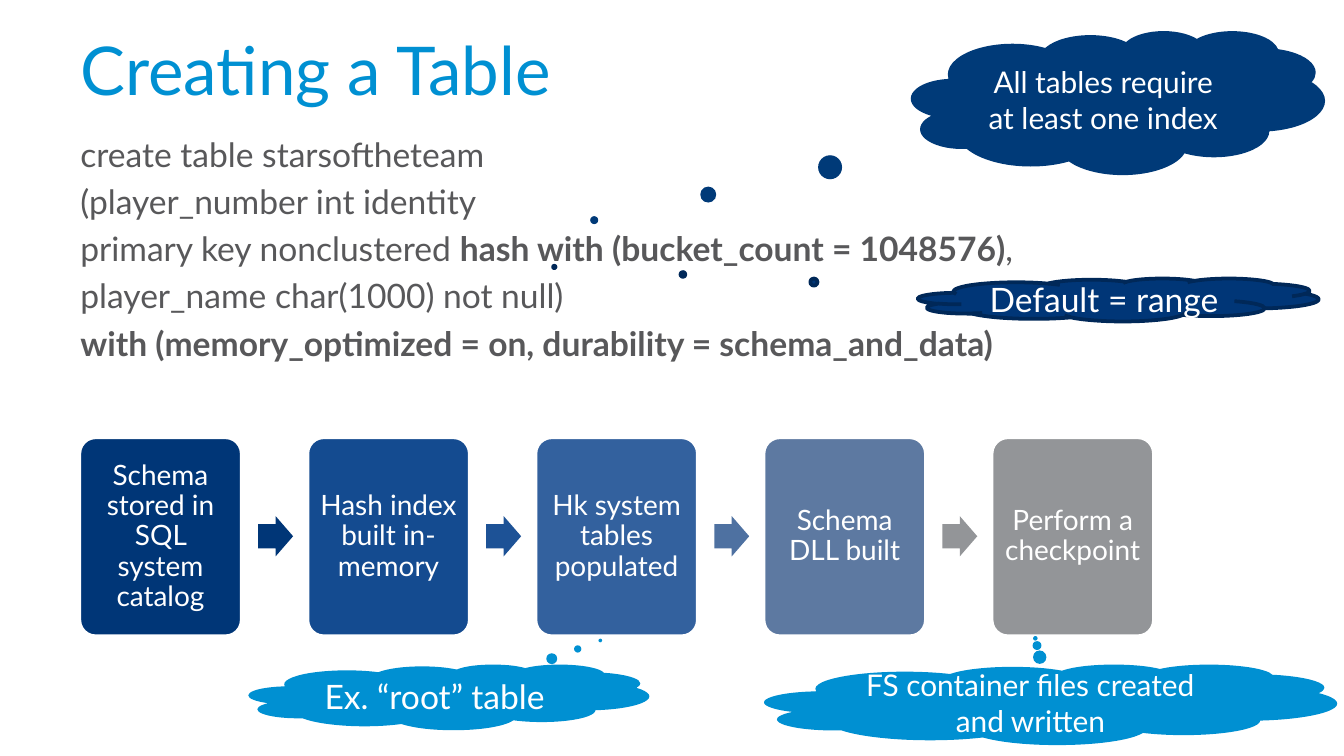
"""Build the "Creating a Table" slide: SQL code, a five-step process and cloud callouts."""
from pptx import Presentation
from pptx.dml.color import RGBColor
from pptx.enum.shapes import MSO_SHAPE
from pptx.enum.text import MSO_ANCHOR, PP_ALIGN
from pptx.util import Cm, Pt

CLOUD = MSO_SHAPE.CLOUD_CALLOUT
ROUNDED = MSO_SHAPE.ROUNDED_RECTANGLE
ARROW = MSO_SHAPE.RIGHT_ARROW
TOP, MIDDLE = MSO_ANCHOR.TOP, MSO_ANCHOR.MIDDLE
LEFT, CENTER = PP_ALIGN.LEFT, PP_ALIGN.CENTER

FONT = "Lato"
WHITE = RGBColor(0xFF, 0xFF, 0xFF)
GREY_TEXT = RGBColor(0x58, 0x58, 0x5A)
SKY = RGBColor(0x00, 0x90, 0xD2)
NAVY = RGBColor(0x00, 0x36, 0x77)
CLOUD_NAVY = RGBColor(0x00, 0x3A, 0x78)
DARK_NAVY = RGBColor(0x00, 0x28, 0x58)
ROYAL = RGBColor(0x14, 0x4B, 0x90)
ROYAL_ARROW = RGBColor(0x1D, 0x52, 0x96)
STEEL = RGBColor(0x33, 0x61, 0x9E)
STEEL_ARROW = RGBColor(0x4E, 0x71, 0xA1)
SLATE = RGBColor(0x5D, 0x79, 0xA1)
GREY = RGBColor(0x93, 0x95, 0x98)


def add_filled(kind, left, top, width, height, adjustments, fill, line=None):
    shape = page.shapes.add_shape(kind, Cm(left), Cm(top), Cm(width), Cm(height))
    shape.shadow.inherit = False
    for index, value in enumerate(adjustments):
        shape.adjustments[index] = value
    shape.fill.solid()
    shape.fill.fore_color.rgb = fill
    if line is None:
        shape.line.fill.background()
    else:
        shape.line.color.rgb = line
        shape.line.width = Pt(2)
    return shape


def format_text(frame, size, color, align=CENTER, anchor=MIDDLE):
    frame.word_wrap = True
    frame.vertical_anchor = anchor
    for para in frame.paragraphs:
        para.alignment = align
        for span in para.runs:
            span.font.name = FONT
            span.font.size = Pt(size)
            span.font.color.rgb = color


deck = Presentation()
deck.slide_width, deck.slide_height = Cm(25.4), Cm(14.28)
page = deck.slides.add_slide(deck.slide_layouts[5])

title = page.shapes.title
title.left, title.top, title.width, title.height = Cm(1.27), Cm(0.69), Cm(22.86), Cm(1.7)
title.text_frame.text = "Creating a Table"
title.text_frame.paragraphs[0].line_spacing = Pt(35)
format_text(title.text_frame, 36, SKY, LEFT, TOP)

code_lines = [
    [("create table starsoftheteam", False)],
    [("(player_number int identity", False)],
    [("primary key nonclustered ", False),
     ("hash with (bucket_count = 1048576)", True), (",", False)],
    [("player_name char(1000) not null)", False)],
    [("with (memory_optimized = on, durability = schema_and_data)", True)],
]
code_frame = page.shapes.add_textbox(Cm(1.27), Cm(2.41), Cm(22.89), Cm(4.88)).text_frame
for index, pieces in enumerate(code_lines):
    para = code_frame.add_paragraph() if index else code_frame.paragraphs[0]
    para.space_before = Pt(3.6 if index else 0)
    for text, bold in pieces:
        span = para.add_run()
        span.text = text
        span.font.bold = bold
format_text(code_frame, 18, GREY_TEXT, LEFT, TOP)

steps = [
    ("Schema stored in SQL system catalog", NAVY, NAVY),
    ("Hash index built in-memory", ROYAL, ROYAL_ARROW),
    ("Hk system tables populated", STEEL, STEEL_ARROW),
    ("Schema DLL built", SLATE, GREY),
    ("Perform a checkpoint", GREY, None),
]
for index, (text, fill, arrow_fill) in enumerate(steps):
    left = 1.5 + 4.31 * index
    step = add_filled(ROUNDED, left, 8.26, 3.07, 3.76, [0.1], fill, WHITE)
    frame = step.text_frame
    frame.text = text
    frame.margin_left = frame.margin_right = Cm(0.14)
    frame.margin_top = frame.margin_bottom = Cm(0.14)
    frame.paragraphs[0].line_spacing = 0.9
    format_text(frame, 15, WHITE)
    if arrow_fill is not None:
        add_filled(ARROW, left + 3.38, 9.75, 0.66, 0.76, [0.6, 0.5], arrow_fill)

clouds = [
    ("All tables require at least one index", 16, (17.22, 0.58, 7.82, 2.72),
     [-1.266, 0.816], CLOUD_NAVY, None),
    ("Ex. “root” table", 18, (4.7, 12.55, 7.57, 1.24), [0.378, -0.864], SKY, None),
    ("FS container files created and written", 16, (14.45, 12.55, 10.82, 1.52),
     [-0.027, -0.824], SKY, None),
    ("Default = range", 18, (17.35, 5.26, 7.57, 0.81), [-1.408, -0.768], NAVY, DARK_NAVY),
]
for text, size, bounds, tail, fill, line in clouds:
    cloud = add_filled(CLOUD, *bounds, tail, fill, line)
    cloud.text_frame.text = text
    format_text(cloud.text_frame, size, WHITE)

deck.save("out.pptx")
